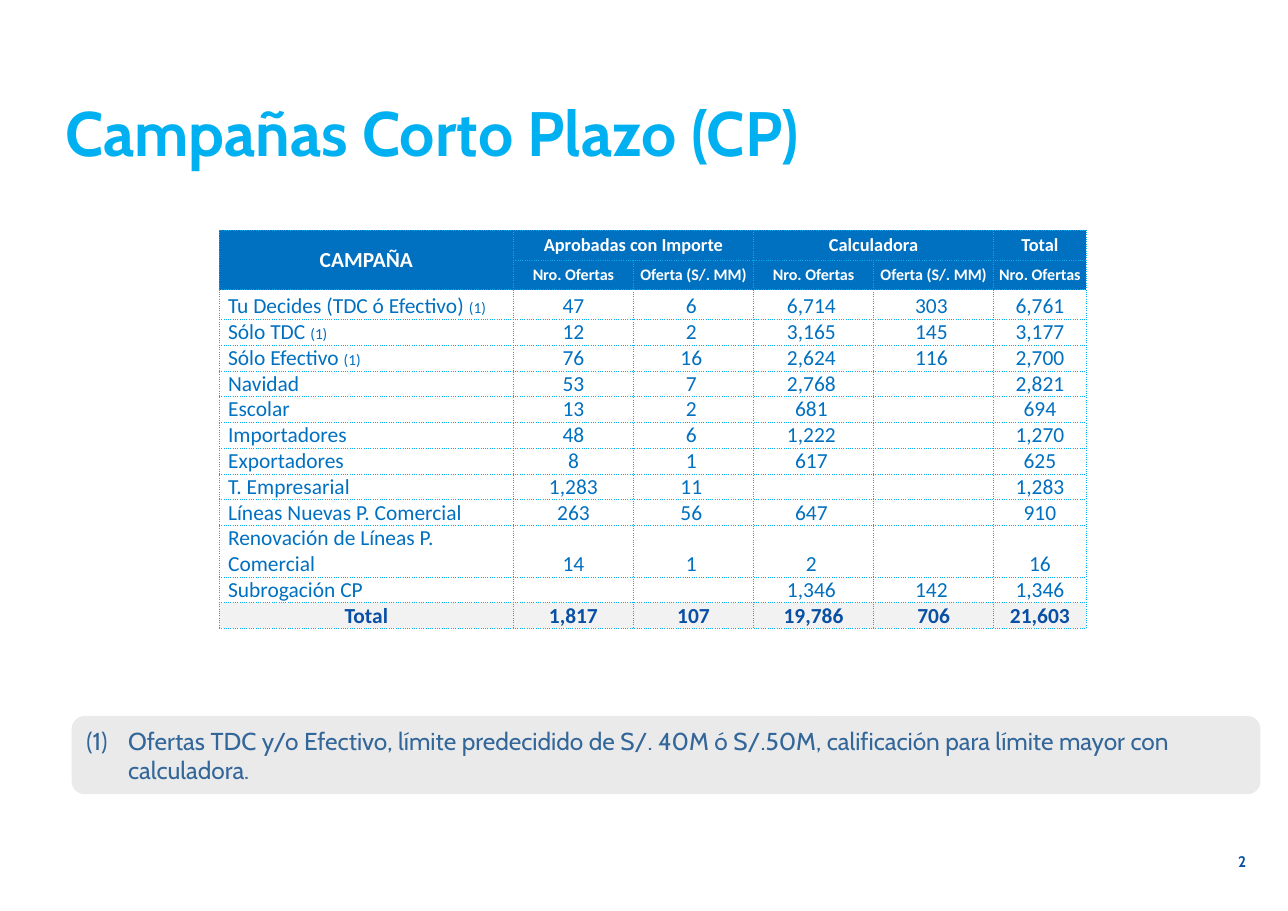
from lxml import etree
from pptx import Presentation
from pptx.dml.color import RGBColor
from pptx.enum.shapes import MSO_SHAPE
from pptx.enum.text import MSO_ANCHOR, MSO_AUTO_SIZE, PP_ALIGN
from pptx.oxml import parse_xml
from pptx.oxml.ns import nsdecls, qn
from pptx.util import Emu, Pt

PX = 9144  # EMU per px, 100 px to the inch
COLORS = {
    "sky": "00B0F0", "blue": "0070C0", "navy": "094FA4", "steel": "336699",
    "white": "FFFFFF", "note": "EAEAEA", "total": "F2F2F2",
}
GROUPS = [(1, 2, "Aprobadas con Importe"), (3, 4, "Calculadora"), (5, 5, "Total")]
MEASURES = ["Nro. Ofertas", "Oferta (S/. MM)", "Nro. Ofertas", "Oferta (S/. MM)", "Nro. Ofertas"]
CAMPAIGNS = [
    ("Tu Decides (TDC ó Efectivo) (1)", "47", "6", "6,714", "303", "6,761"),
    ("Sólo TDC (1)", "12", "2", "3,165", "145", "3,177"),
    ("Sólo Efectivo (1)", "76", "16", "2,624", "116", "2,700"),
    ("Navidad", "53", "7", "2,768", "", "2,821"),
    ("Escolar", "13", "2", "681", "", "694"),
    ("Importadores", "48", "6", "1,222", "", "1,270"),
    ("Exportadores", "8", "1", "617", "", "625"),
    ("T. Empresarial", "1,283", "11", "", "", "1,283"),
    ("Líneas Nuevas P. Comercial", "263", "56", "647", "", "910"),
    ("Renovación de Líneas P. Comercial", "14", "1", "2", "", "16"),
    ("Subrogación CP", "", "", "1,346", "142", "1,346"),
]
TOTALS = ("Total", "1,817", "107", "19,786", "706", "21,603")
COL_WIDTHS = [267, 109, 109, 109, 109, 84]
ROW_HEIGHTS = [27] * 3 + [22] * 11


def px(*lengths):
    return [Emu(n * PX) for n in lengths]


def rgb(name):
    return RGBColor.from_string(COLORS[name])


class SlideBuilder:
    heading_font = "Cabin"
    table_font = "Calibri"

    def __init__(self, slide):
        self.slide = slide

    def style(self, r, size, color, font, bold=False):
        r.font.name, r.font.size, r.font.bold = font, Pt(size), bold
        r.font.color.rgb = rgb(color)

    def title(self, text, box):
        sp = self.slide.shapes.title
        sp.left, sp.top, sp.width, sp.height = px(*box)
        tf = sp.text_frame
        tf.text = text
        tf.auto_size = MSO_AUTO_SIZE.NONE
        tf.vertical_anchor = MSO_ANCHOR.MIDDLE
        p = tf.paragraphs[0]
        p.alignment, p.line_spacing = PP_ALIGN.LEFT, 0.8
        self.style(p.runs[0], 41, "sky", self.heading_font, True)

    def page_number(self, text, box):
        tf = self.slide.shapes.add_textbox(*px(*box)).text_frame
        tf.word_wrap = True
        tf.margin_left = tf.margin_top = tf.margin_right = tf.margin_bottom = 0
        tf.text = text
        p = tf.paragraphs[0]
        p.alignment = PP_ALIGN.RIGHT
        self.style(p.runs[0], 10, "navy", self.heading_font, True)

    def numbered_note(self, text, box):
        sp = self.slide.shapes.add_shape(MSO_SHAPE.ROUNDED_RECTANGLE, *px(*box))
        sp.shadow.inherit = False
        sp.fill.solid()
        sp.fill.fore_color.rgb = rgb("note")
        sp.line.fill.background()
        sp.text_frame.text = text
        p = sp.text_frame.paragraphs[0]
        p.alignment = PP_ALIGN.LEFT
        self.style(p.runs[0], 16, "steel", self.heading_font)
        pPr = p._p.get_or_add_pPr()
        pPr.set("marL", str(38 * PX))
        pPr.set("indent", str(-38 * PX))
        etree.SubElement(pPr, qn("a:buAutoNum"), type="arabicParenBoth")

    def table(self, left, top):
        size = sum(COL_WIDTHS), sum(ROW_HEIGHTS)
        frame = self.slide.shapes.add_table(
            len(ROW_HEIGHTS), len(COL_WIDTHS), *px(left, top, *size))
        table = frame.table
        table.first_row = table.horz_banding = False
        for col, width in zip(table.columns, px(*COL_WIDTHS)):
            col.width = width
        for row, height in zip(table.rows, px(*ROW_HEIGHTS)):
            row.height = height
        return table

    def cell(self, cell, text="", size=14, color="white", fill=None, bold=True,
             align=PP_ALIGN.CENTER, anchor=MSO_ANCHOR.MIDDLE, left=0, right=0):
        """Fill one table cell; a trailing "(1)" becomes a small note mark."""
        cell.margin_left, cell.margin_right = px(left, right)
        cell.margin_top = cell.margin_bottom = 0
        cell.vertical_anchor = anchor
        if fill:
            cell.fill.solid()
            cell.fill.fore_color.rgb = rgb(fill)
        else:
            cell.fill.background()
        self.borders(cell)
        p = cell.text_frame.paragraphs[0]
        p.alignment = align
        label, mark, _ = text.partition("(1)")
        for part, part_size in ((label, size), (mark, 10)):
            if part:
                r = p.add_run()
                r.text = part
                self.style(r, part_size, color, self.table_font, bold)
        if not text:
            etree.SubElement(p._p, qn("a:endParaRPr"), sz=str(size * 100))

    def borders(self, cell):
        tcPr = cell._tc.get_or_add_tcPr()
        for i, side in enumerate("LRTB"):
            tcPr.insert(i, parse_xml(
                f'<a:ln{side} {nsdecls("a")} w="6350"><a:solidFill>'
                f'<a:srgbClr val="{COLORS["sky"]}"/></a:solidFill>'
                f'<a:prstDash val="sysDot"/></a:ln{side}>'))


def fill_campaign_table(b, table):
    header = {"fill": "blue"}
    b.cell(table.cell(0, 0), "CAMPAÑA", **header)
    b.cell(table.cell(1, 0), **header)
    for first, last, name in GROUPS:
        b.cell(table.cell(0, first), name, 12, **header)
        if last > first:
            b.cell(table.cell(0, last), size=12, **header)
            table.cell(0, first).merge(table.cell(0, last))
    table.cell(0, 0).merge(table.cell(1, 0))
    for c, name in enumerate(MEASURES, 1):
        b.cell(table.cell(1, c), name, 10.5, **header)

    body = {"color": "blue", "bold": False, "anchor": MSO_ANCHOR.BOTTOM}
    for i, (name, *values) in enumerate(CAMPAIGNS, 2):
        b.cell(table.cell(i, 0), name, align=PP_ALIGN.LEFT, left=8, **body)
        for c, value in enumerate(values, 1):
            b.cell(table.cell(i, c), value, right=4 if c in (2, 3, 4) else 0, **body)
    for c, value in enumerate(TOTALS):
        b.cell(table.cell(len(ROW_HEIGHTS) - 1, c), value, color="navy", fill="total")


def main():
    prs = Presentation()
    prs.slide_width, prs.slide_height = px(1169, 827)
    b = SlideBuilder(prs.slides.add_slide(prs.slide_layouts[5]))
    b.page_number("2", (761, 774, 370, 24))
    b.title("Campañas Corto Plazo (CP)", (49, 98, 1073, 55))
    b.numbered_note(
        "Ofertas TDC y/o Efectivo, límite predecidido de S/. 40M ó S/.50M, "
        "calificación para límite mayor con calculadora.", (65, 650, 1079, 71))
    fill_campaign_table(b, b.table(199, 209))
    prs.save("out.pptx")


if __name__ == "__main__":
    main()
